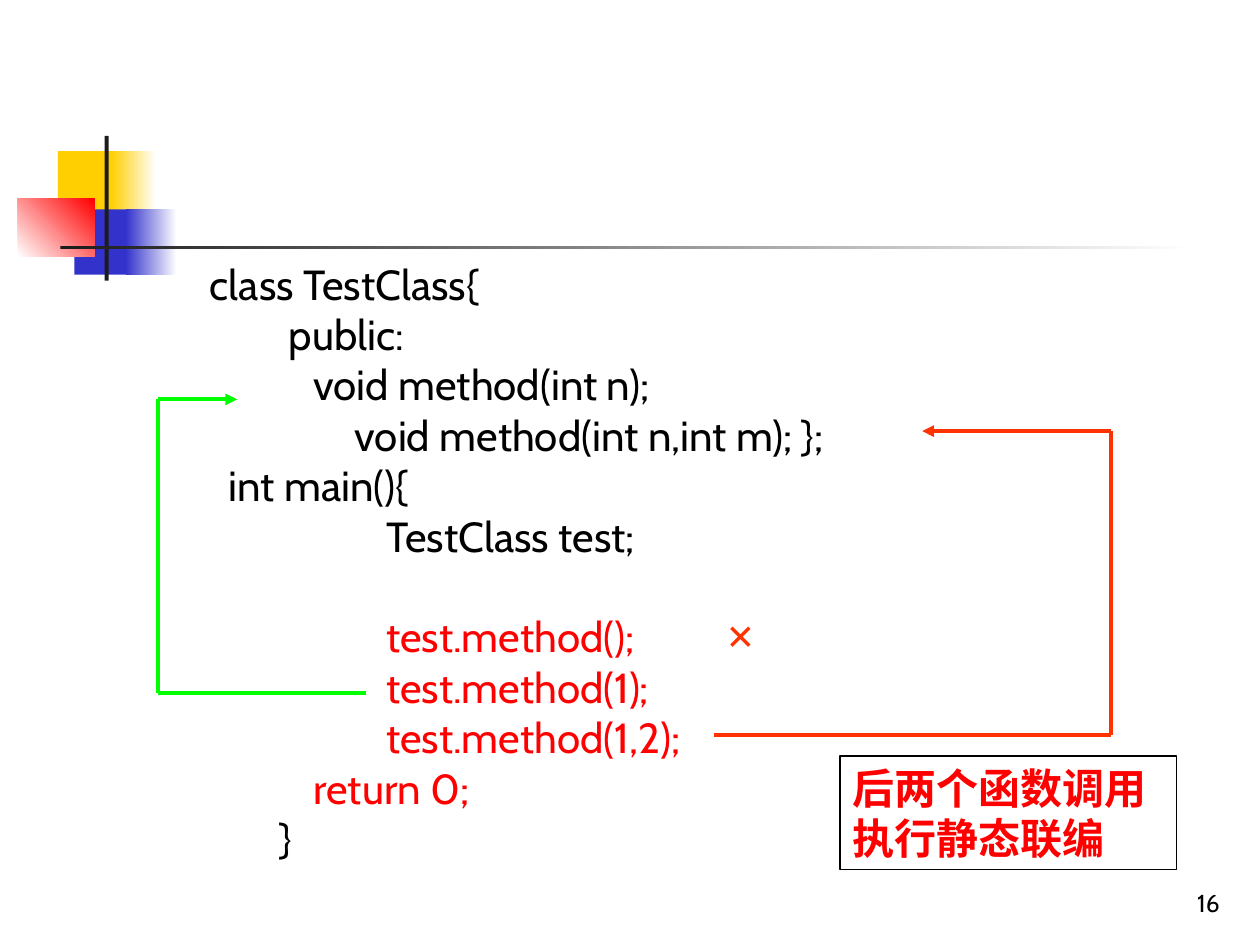
from dataclasses import dataclass
from typing import Optional

from lxml.etree import SubElement
from pptx import Presentation
from pptx.dml.color import RGBColor as Color
from pptx.enum.shapes import MSO_CONNECTOR as Connector, MSO_SHAPE as Shape
from pptx.enum.text import MSO_ANCHOR as Anchor, MSO_AUTO_SIZE as AutoSize, PP_ALIGN as Align
from pptx.oxml.ns import qn
from pptx.util import Cm, Pt


@dataclass(frozen=True)
class Theme:
    font: str = "Cabin"
    mark_font: str = "Times New Roman"
    number_size: int = 14
    code_size: int = 24
    mark_size: int = 28
    line_width: float = 2.25
    black: str = "000000"
    white: str = "FFFFFF"
    red: str = "FF0000"
    orange: str = "FF3300"
    green: str = "00FF00"
    yellow: str = "FFCF01"
    blue: str = "3333CC"
    charcoal: str = "1C1C1C"


THEME = Theme()


@dataclass(frozen=True)
class Box:
    left: float
    top: float
    width: float
    height: float

    def lengths(self) -> tuple:
        return Cm(self.left), Cm(self.top), Cm(self.width), Cm(self.height)


@dataclass(frozen=True)
class Ornament:
    box: Box
    start: str
    end: Optional[str] = None
    angle: int = 0


@dataclass(frozen=True)
class Line:
    text: str
    color: str = THEME.black
    space_before: float = 0


@dataclass(frozen=True)
class CallPath:
    points: tuple
    color: str


@dataclass(frozen=True)
class TextStyle:
    size: int
    font: str = THEME.font
    bold: bool = False
    align: Align = Align.LEFT


ORNAMENTS = (
    Ornament(Box(1.17, 3.05, 1.22, 1.32), THEME.yellow),
    Ornament(Box(2.24, 3.05, 0.91, 1.32), THEME.yellow, THEME.white),
    Ornament(Box(1.5, 4.22, 1.17, 1.32), THEME.blue),
    Ornament(Box(2.54, 4.22, 1.02, 1.32), THEME.blue, THEME.white),
    Ornament(Box(0.36, 4.01, 1.55, 1.17), THEME.white, THEME.red, 45),
    Ornament(Box(2.11, 2.74, 0.08, 2.92), THEME.charcoal),
    Ornament(Box(1.22, 4.95, 22.86, 0.08), THEME.charcoal, THEME.white),
)

CODE = (
    Line("        class TestClass{"),
    Line("\t   public:"),
    Line("                   void method(int n);"),
    Line("\t          void method(int n,int m); };"),
    Line("          int main(){"),
    Line("\t\tTestClass test;"),
    Line("\t\ttest.method();", THEME.red, THEME.code_size * 1.2),
    Line("\t\ttest.method(1);", THEME.red),
    Line("\t\ttest.method(1,2);", THEME.red),
    Line("                   return 0;", THEME.red),
    Line("\t  }"),
)

CALL_PATHS = (
    CallPath(((7.37, 13.97), (3.18, 13.97), (3.18, 8.05), (4.78, 8.05)), THEME.green),
    CallPath(((14.4, 14.81), (22.4, 14.81), (22.4, 8.69), (18.59, 8.69)), THEME.orange),
)


def add_rectangle(slide, box: Box):
    shape = slide.shapes.add_shape(Shape.RECTANGLE, *box.lengths())
    shape.shadow.inherit = False
    return shape


def add_ornament(slide, ornament: Ornament) -> None:
    shape = add_rectangle(slide, ornament.box)
    shape.line.fill.background()
    if ornament.end is None:
        shape.fill.solid()
        shape.fill.fore_color.rgb = Color.from_string(ornament.start)
        return
    shape.fill.gradient()
    shape.fill.gradient_angle = ornament.angle
    stops = zip(shape.fill.gradient_stops, (ornament.start, ornament.end), (0, 1))
    for stop, color, position in stops:
        stop.color.rgb = Color.from_string(color)
        stop.position = position


def add_tab_stops(paragraph) -> None:
    tab_list = SubElement(paragraph._p.get_or_add_pPr(), qn("a:tabLst"))
    for inch in range(1, 8):
        SubElement(tab_list, qn("a:tab"), pos=str(Cm(2.54 * inch)), algn="l")


def write_lines(shape, lines: tuple, style: TextStyle, wrap: bool = False,
                anchor: Anchor = Anchor.TOP) -> None:
    frame = shape.text_frame
    frame.word_wrap = wrap
    frame.auto_size = AutoSize.NONE
    frame.vertical_anchor = anchor
    for index, line in enumerate(lines):
        paragraph = frame.add_paragraph() if index else frame.paragraphs[0]
        paragraph.text = line.text
        paragraph.alignment = style.align
        if line.space_before:
            paragraph.space_before = Pt(line.space_before)
        if "\t" in line.text:
            add_tab_stops(paragraph)
        font = paragraph.font
        font.name, font.size, font.bold = style.font, Pt(style.size), style.bold
        font.color.rgb = Color.from_string(line.color)


def add_text(slide, box: Box, lines: tuple, style: TextStyle, wrap: bool = False,
             anchor: Anchor = Anchor.TOP) -> None:
    write_lines(slide.shapes.add_textbox(*box.lengths()), lines, style, wrap, anchor)


def add_call_path(slide, call_path: CallPath) -> None:
    group = slide.shapes.add_group_shape()
    for start, end in zip(call_path.points, call_path.points[1:]):
        connector = group.shapes.add_connector(
            Connector.STRAIGHT, *(Cm(value) for value in start + end))
        connector.line.color.rgb = Color.from_string(call_path.color)
        connector.line.width = Pt(THEME.line_width)
        if end == call_path.points[-1]:
            SubElement(connector.line._get_or_add_ln(), qn("a:tailEnd"), type="triangle")
        SubElement(connector._element.spPr, qn("a:effectLst"))


def add_note(slide, box: Box, line: Line) -> None:
    shape = add_rectangle(slide, box)
    shape.fill.background()
    shape.line.color.rgb = Color.from_string(THEME.black)
    shape.line.width = Pt(1)
    write_lines(shape, (line,), TextStyle(THEME.code_size, bold=True), wrap=True)


def main() -> None:
    presentation = Presentation()
    presentation.slide_width, presentation.slide_height = Cm(25.4), Cm(19.05)
    slide = presentation.slides.add_slide(presentation.slide_layouts[6])
    for ornament in ORNAMENTS:
        add_ornament(slide, ornament)
    add_text(slide, Box(19.56, 17.35, 5.28, 1.27), (Line("16"),),
             TextStyle(THEME.number_size, align=Align.RIGHT), True, Anchor.BOTTOM)
    add_text(slide, Box(2.46, 5.08, 15.85, 12.45), CODE, TextStyle(THEME.code_size))
    add_text(slide, Box(14.4, 12.07, 1.04, 1.45), (Line("×", THEME.orange),),
             TextStyle(THEME.mark_size, THEME.mark_font, True))
    for call_path in CALL_PATHS:
        add_call_path(slide, call_path)
    add_note(slide, Box(16.94, 15.24, 6.78, 2.29),
             Line("后两个函数调用执行静态联编", THEME.red))
    presentation.save("out.pptx")


if __name__ == "__main__":
    main()
